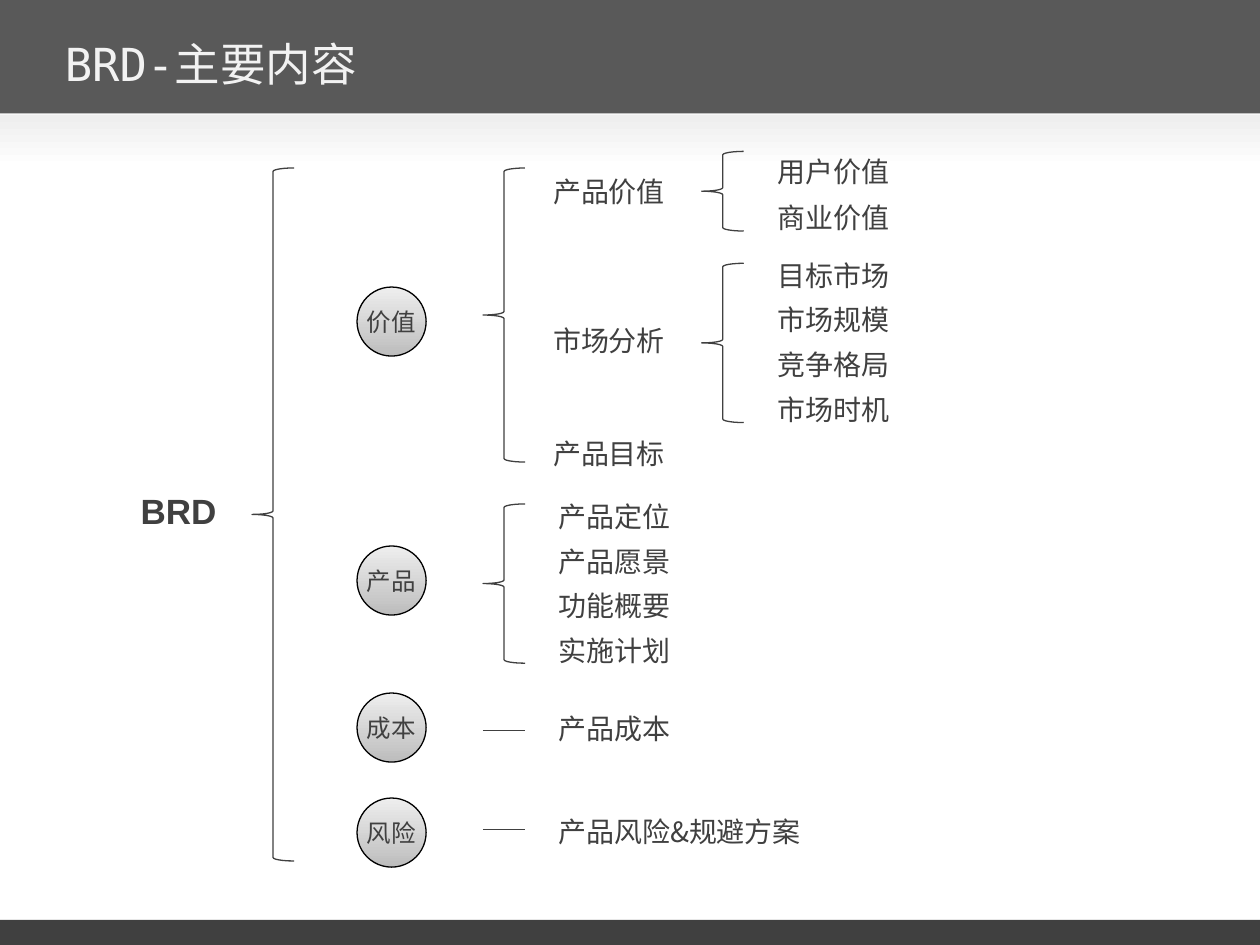
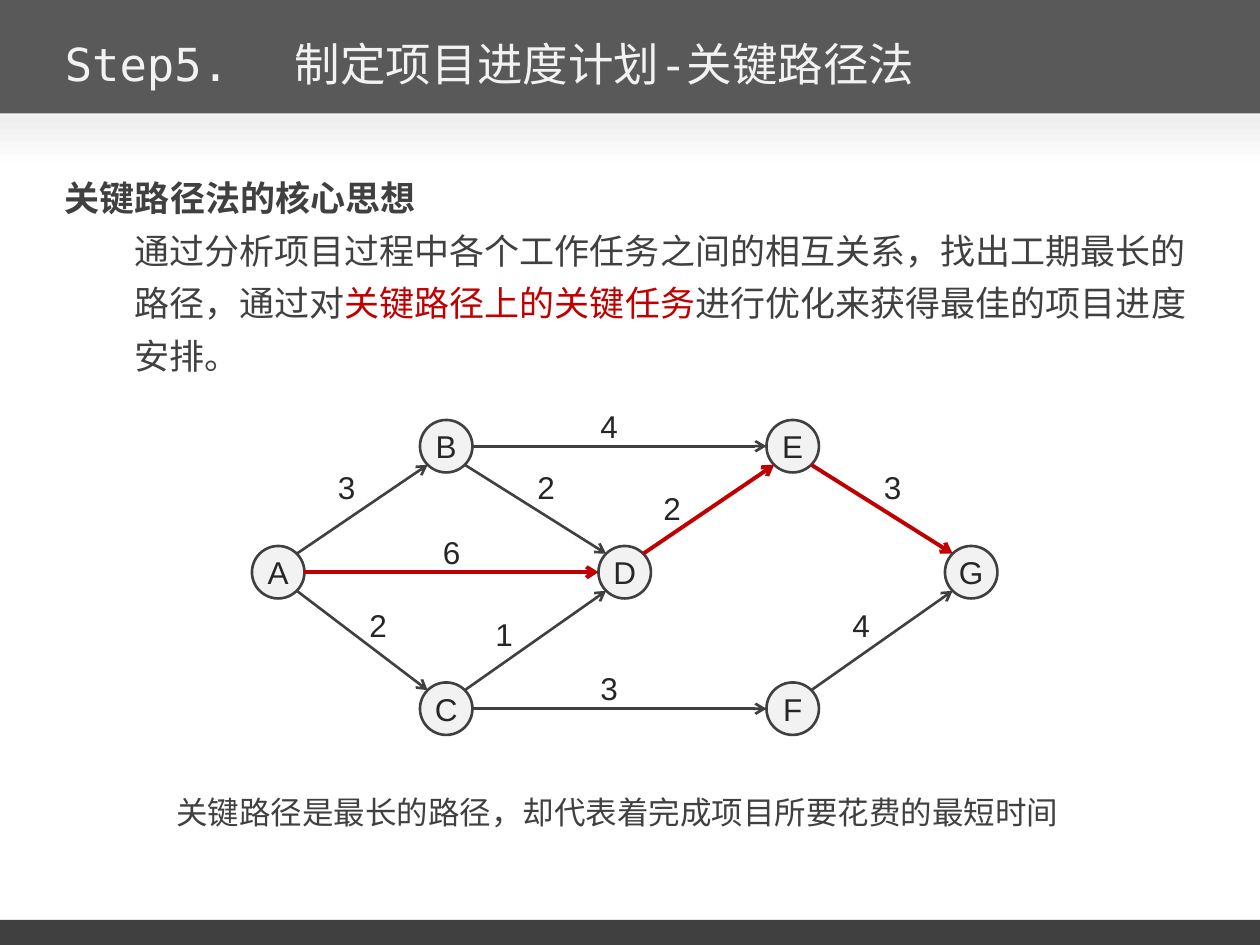
import math

from lxml import etree
from pptx import Presentation
from pptx.dml.color import RGBColor
from pptx.enum import shapes, text
from pptx.oxml import ns
from pptx.util import Pt

DARK = RGBColor(0x40, 0x40, 0x40)
HEADER = RGBColor(0x59, 0x59, 0x59)
PALE = RGBColor(0xF2, 0xF2, 0xF2)
BACKING = RGBColor(0xF7, 0xF7, 0xF7)
MIST = RGBColor(0xEE, 0xEE, 0xEE)
SILVER = RGBColor(0xBD, 0xBD, 0xBD)
WHITE = RGBColor(0xFF, 0xFF, 0xFF)
BLACK = RGBColor(0, 0, 0)
INK = RGBColor(0x26, 0x26, 0x26)
RED = RGBColor(0xC0, 0, 0)
CJK, LATIN, MONO = "Noto Sans CJK SC", "Arial", "DejaVu Sans Mono"
SHAPE, ALIGN = shapes.MSO_SHAPE, text.PP_ALIGN
CENTER = {"alignment": ALIGN.CENTER}


def write(p, runs, size, font=CJK, color=DARK, bold=False, **layout):
    """Fill a paragraph with (text, colour) runs, or with one plain string."""
    if font == CJK:
        layout.setdefault("line_spacing", Pt(size * 1.2))
    for name, value in layout.items():
        setattr(p, name, value)
    for words, tint in [(runs, color)] if isinstance(runs, str) else runs:
        r = p.add_run()
        r.text = words
        for name, value in {"size": Pt(size), "name": font, "bold": bold}.items():
            setattr(r.font, name, value)
        r.font.color.rgb = tint
        etree.SubElement(r.font._element, ns.qn("a:ea"), typeface=font)


def add(s, kind, box, fill=None, line=None, width=0.75, angle=0):
    """Add a shape, text box (kind None) or line (kind "line") measured in points."""
    box = [Pt(v) for v in box]
    if kind is None:
        sp = s.shapes.add_textbox(*box)
        sp.text_frame.word_wrap = True
        return sp
    if kind == "line":
        sp = s.shapes.add_connector(shapes.MSO_CONNECTOR.STRAIGHT, *box)
        etree.SubElement(sp._element.spPr, ns.qn("a:effectLst"))
    else:
        sp = s.shapes.add_shape(kind, *box)
        sp.shadow.inherit = False
        if fill is None:
            sp.fill.background()
        elif isinstance(fill, list):
            sp.fill.gradient()
            sp.fill.gradient_angle = angle
            for stop, color in zip(sp.fill.gradient_stops, fill):
                stop.color.rgb = color
        else:
            sp.fill.solid()
            sp.fill.fore_color.rgb = fill
        sp.text_frame.word_wrap = False
        sp.text_frame.vertical_anchor = text.MSO_ANCHOR.MIDDLE
    if line is None:
        sp.line.fill.background()
    else:
        sp.line.color.rgb = line
        sp.line.width = Pt(width)
    return sp


prs = Presentation()
prs.slide_width, prs.slide_height = Pt(720), Pt(540)

# Shared bands and title
slides = []
for title in ["BRD-主要内容", "Step5.\t制定项目进度计划-关键路径法"]:
    s = prs.slides.add_slide(prs.slide_layouts[6])
    for top, height, fill in [(0, 72, BACKING), (525.6, 14.4, DARK),
                              (0, 64.8, HEADER), (66, 30, [MIST, WHITE])]:
        add(s, SHAPE.RECTANGLE, (0, top, 720, height), fill, angle=270)
    tf = add(s, None, (30, 12, 582, 48)).text_frame
    tf.vertical_anchor = text.MSO_ANCHOR.MIDDLE
    p = tf.paragraphs[0]
    if "\t" in title:
        tabs = etree.SubElement(p._p.get_or_add_pPr(), ns.qn("a:tabLst"))
        etree.SubElement(tabs, ns.qn("a:tab"), pos=str(Pt(131.5)), algn="l")
    write(p, title, 26, MONO, PALE)
    slides.append(s)
tree, network = slides

# Slide 1: BRD tree
root = add(tree, None, (72, 276, 60, 32))
write(root.text_frame.paragraphs[0], "BRD", 20, LATIN, bold=True, **CENTER)

for left, top, height in [(144, 96, 396), (276, 96, 168), (276, 288, 91),
                          (401, 86.5, 45.5), (401, 150.5, 91)]:
    add(tree, SHAPE.LEFT_BRACE, (left, top, 24, height), line=DARK)
for y in (417.5, 474):
    add(tree, "line", (276, y, 300, y), line=DARK)

for name, top in [("价值", 164), ("产品", 312), ("成本", 396), ("风险", 456)]:
    sp = add(tree, SHAPE.OVAL, (204, top, 39.5, 39.5), [SILVER, MIST], BLACK, angle=90)
    write(sp.text_frame.paragraphs[0], name, 14, **CENTER)

for name, top in [("产品价值", 96), ("市场分析", 181.5), ("产品目标", 246)]:
    sp = add(tree, None, (306, top, 84, 26.6))
    write(sp.text_frame.paragraphs[0], name, 16, **CENTER)

leaf_groups = [
    (437.5, 85, 26, ["用户价值", "商业价值"]),
    (437.5, 144, 25.5, ["目标市场", "市场规模", "竞争格局", "市场时机"]),
    (312, 282, 25.5, ["产品定位", "产品愿景", "功能概要", "实施计划"]),
    (312, 403, 0, ["产品成本"]),
    (312, 462, 0, ["产品风险&规避方案"]),
]
for left, top, step, leaves in leaf_groups:
    for i, leaf in enumerate(leaves):
        sp = add(tree, None, (left, top + i * step, 180 if len(leaf) > 4 else 114, 26.6))
        write(sp.text_frame.paragraphs[0], leaf, 16)

# Slide 2: critical path
tf = add(network, None, (30, 91.5, 660, 132)).text_frame
write(tf.paragraphs[0], "关键路径法的核心思想", 20, bold=True, line_spacing=Pt(30))
p = tf.add_paragraph()
p._p.get_or_add_pPr().set("marL", str(Pt(39.6)))
write(p, [("通过分析项目过程中各个工作任务之间的相互关系，找出工期最长的路径，通过对", DARK),
          ("关键路径上的关键任务", RED),
          ("进行优化来获得最佳的项目进度安排。", DARK)], 20, line_spacing=Pt(30))

R = 15
centers = {"A": (159, 327), "B": (255, 255), "C": (255, 405), "D": (357, 327),
           "E": (453, 255), "F": (453, 405), "G": (555, 327)}
for name, (x, y) in centers.items():
    sp = add(network, SHAPE.OVAL, (x - R, y - R, 2 * R, 2 * R), PALE, DARK, 1.5)
    write(sp.text_frame.paragraphs[0], name, 18, LATIN, INK, **CENTER)

critical = {"AD", "DE", "EG"}
edges = [("AB", 3, 186, 264), ("AD", 6, 246, 301), ("AC", 2, 204, 343),
         ("BE", 4, 336, 229), ("BD", 2, 300, 264), ("CD", 1, 276, 348),
         ("CF", 3, 336, 379), ("DE", 2, 372, 276), ("EG", 3, 498, 264),
         ("FG", 4, 480, 343)]
for edge, days, left, top in edges:
    (x1, y1), (x2, y2) = (centers[node] for node in edge)
    # Level edges leave from the side of a node, the others at 45 degrees
    dx = R if y1 == y2 else R * math.sqrt(0.5)
    dy = 0 if y1 == y2 else math.copysign(dx, y2 - y1)
    color, width = (RED, 2.25) if edge in critical else (DARK, 1.5)
    sp = add(network, "line", (x1 + dx, y1 + dy, x2 - dx, y2 - dy), line=color, width=width)
    etree.SubElement(sp.line._get_or_add_ln(), ns.qn("a:tailEnd"), type="arrow")
    sp = add(network, None, (left, top, 24, 29))
    write(sp.text_frame.paragraphs[0], str(days), 18, LATIN, INK)

p = add(network, None, (54, 444, 576, 42)).text_frame.paragraphs[0]
p._p.get_or_add_pPr().set("marL", str(Pt(39.6)))
write(p, "关键路径是最长的路径，却代表着完成项目所要花费的最短时间", 18, line_spacing=Pt(27))

prs.save("out.pptx")
